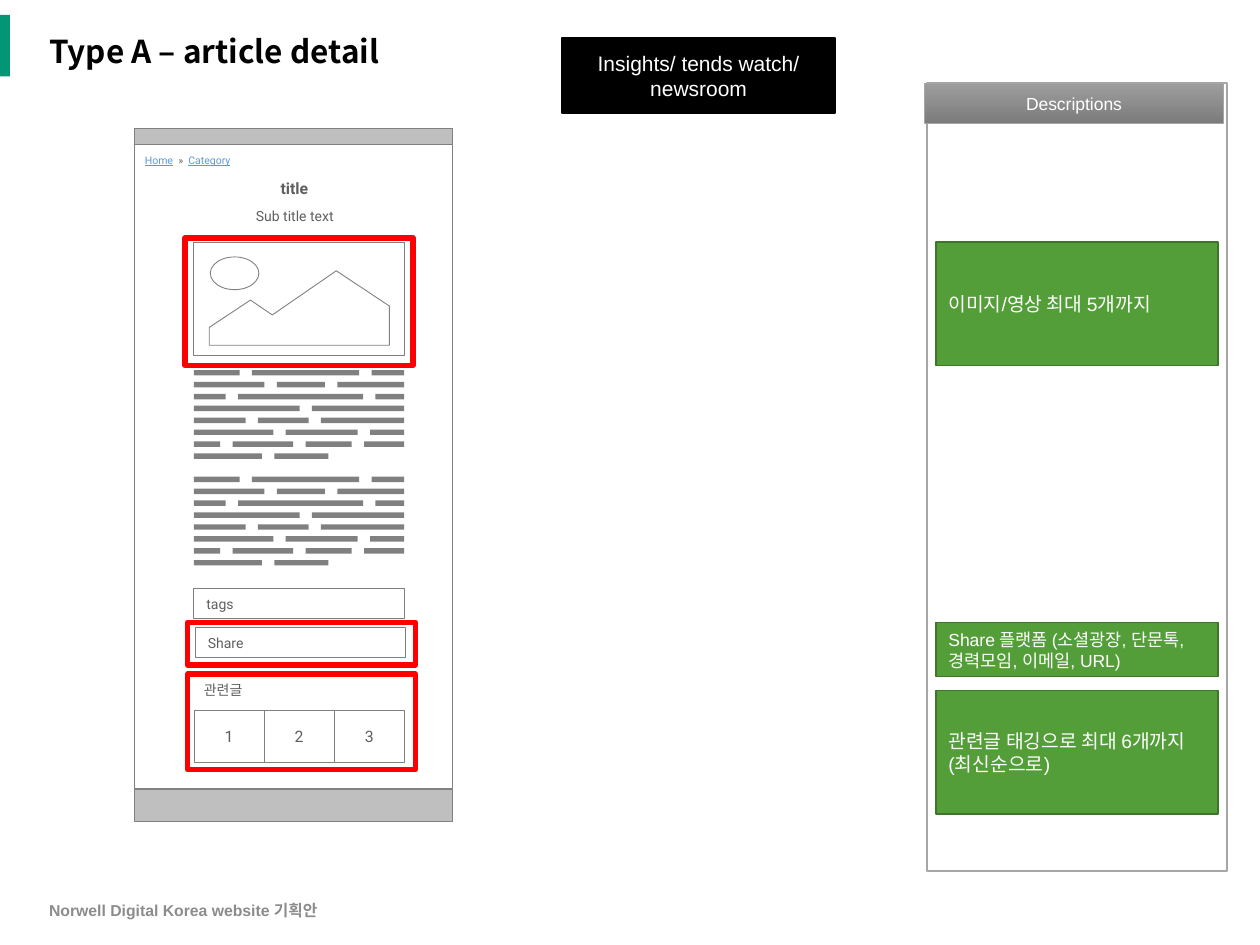
from dataclasses import dataclass
from itertools import product
from typing import Optional

from pptx import Presentation
from pptx.dml.color import RGBColor
from pptx.enum.shapes import MSO_SHAPE
from pptx.enum.text import MSO_ANCHOR, PP_ALIGN
from pptx.util import Cm, Pt


@dataclass(frozen=True)
class Theme:
    accent: str = "029676"
    white: str = "FFFFFF"
    black: str = "000000"
    wire: str = "808080"
    bar: str = "BFBFBF"
    panel_line: str = "A6A6A6"
    header_top: str = "9D9D9D"
    header_bottom: str = "7C7C7C"
    note: str = "549E39"
    note_line: str = "3E752A"
    mark: str = "FF0000"
    body: str = "5F5F5F"
    link: str = "5B9BD5"
    footer: str = "8C8C8C"
    title_font: str = "Noto Sans CJK KR"
    ui_font: str = "Arial"
    wire_font: str = "Roboto"
    title_size: float = 18
    call_size: float = 12
    note_size: float = 11
    small_note_size: float = 10
    label_size: float = 9
    text_size: float = 8
    crumb_size: float = 6


T = Theme()


@dataclass(frozen=True)
class Box:
    """Position and size in centimetres."""
    x: float
    y: float
    w: float
    h: float

    def lengths(self) -> tuple:
        return Cm(self.x), Cm(self.y), Cm(self.w), Cm(self.h)


@dataclass(frozen=True)
class Style:
    size: float
    color: str = T.body
    font: str = T.wire_font
    bold: bool = False
    align: PP_ALIGN = PP_ALIGN.LEFT
    underline: bool = False


@dataclass(frozen=True)
class Note:
    text: str
    y: float
    h: float
    size: float
    mark: Box


def style_run(r, style: Style) -> None:
    r.font.size = Pt(style.size)
    r.font.name = style.font
    r.font.bold = style.bold
    r.font.underline = style.underline
    r.font.color.rgb = RGBColor.from_string(style.color)


def write(sp, text: str, style: Style, pad: tuple = (0.25, 0.13),
          anchor: MSO_ANCHOR = MSO_ANCHOR.MIDDLE):
    tf = sp.text_frame
    tf.text = text
    tf.word_wrap = True
    tf.vertical_anchor = anchor
    tf.margin_left = tf.margin_right = Cm(pad[0])
    tf.margin_top = tf.margin_bottom = Cm(pad[1])
    p = tf.paragraphs[0]
    p.alignment = style.align
    for r in p.runs:
        style_run(r, style)
    return p


def paint(sp, fill: Optional[str], line: Optional[str], width: float) -> None:
    sp.shadow.inherit = False
    if fill:
        sp.fill.solid()
        sp.fill.fore_color.rgb = RGBColor.from_string(fill)
    else:
        sp.fill.background()
    if line:
        sp.line.color.rgb = RGBColor.from_string(line)
        sp.line.width = Pt(width)
    else:
        sp.line.fill.background()


def draw_shape(s, box: Box, fill: Optional[str] = T.white, line: Optional[str] = T.wire,
               width: float = 0.5, kind: MSO_SHAPE = MSO_SHAPE.RECTANGLE):
    sp = s.shapes.add_shape(kind, *box.lengths())
    paint(sp, fill, line, width)
    return sp


def draw_label(s, box: Box, text: str, style: Style, pad: tuple = (0.2, 0.1),
               anchor: MSO_ANCHOR = MSO_ANCHOR.TOP):
    return write(s.shapes.add_textbox(*box.lengths()), text, style, pad, anchor)


def draw_outline(s, contours: list, fill: str, line: Optional[str] = None):
    (x0, y0), *_ = contours[0]
    fb = s.shapes.build_freeform(Cm(x0), Cm(y0))
    for i, (start, *rest) in enumerate(contours):
        if i:
            fb.move_to(Cm(start[0]), Cm(start[1]))
        fb.add_line_segments([(Cm(x), Cm(y)) for x, y in rest], close=True)
    paint(fb.convert_to_shape(), fill, line, 0.5)


def draw_text_row(s, x: float, y: float, lengths: tuple) -> None:
    """One line of placeholder copy: bars of given lengths with equal gaps."""
    gap, thick = 0.25, 0.11
    bars = []
    for w in lengths:
        bars.append([(x, y), (x, y + thick), (x + w, y + thick), (x + w, y)])
        x += w + gap
    draw_outline(s, bars, T.wire)


PHONE_X, PHONE_W = 2.72, 6.4
COL_X, COL_W = 3.91, 4.24
ROW_PITCH = 0.24
COPY_TOPS = (7.46, 9.61)
COPY_ROWS = (
    (0.92, 2.16, 0.66), (1.42, 0.97, 1.35), (0.64, 2.52, 0.58), (2.13, 1.86),
    (1.04, 1.02, 1.68), (1.6, 1.45, 0.69), (0.53, 1.22, 0.93, 0.81), (1.37, 1.09),
)
NOTES = (
    Note("이미지/영상 최대 5개까지", 4.88, 2.49, T.note_size, Box(3.73, 4.8, 4.6, 2.57)),
    Note("Share 플랫폼 (소셜광장, 단문톡, 경력모임, 이메일, URL)", 12.55, 1.09,
         T.small_note_size, Box(3.78, 12.55, 4.6, 0.86)),
    Note("관련글 태깅으로 최대 6개까지 (최신순으로)", 13.92, 2.49, T.note_size,
         Box(3.78, 13.59, 4.6, 1.93)),
)


def draw_frame(s) -> None:
    # Title, accent, footer and call-out
    draw_shape(s, Box(0, 0.3, 0.2, 1.24), T.accent, None)
    title = s.shapes.title
    title.left, title.top, title.width, title.height = Box(0.74, 0.46, 24, 1.24).lengths()
    p = write(title, "Type A – article detail",
              Style(T.title_size, T.black, T.title_font, True))
    p.line_spacing = 0.9
    draw_label(s, Box(0.74, 18.03, 8.59, 0.64), "Norwell Digital Korea website 기획안",
               Style(T.label_size, T.footer, T.ui_font, True), (0.25, 0.13), MSO_ANCHOR.MIDDLE)
    sp = draw_shape(s, Box(11.33, 0.76, 5.51, 1.52), T.black, T.black, 1)
    write(sp, "Insights/ tends watch/ newsroom",
          Style(T.call_size, T.white, T.ui_font, align=PP_ALIGN.CENTER))

    # Description panel
    draw_shape(s, Box(18.69, 1.68, 6.05, 15.88), T.white, T.panel_line, 1)
    head = draw_shape(s, Box(18.64, 1.68, 6.02, 0.81), line=T.panel_line)
    head.fill.gradient()
    head.fill.gradient_angle = 270
    for stop, color in zip(head.fill.gradient_stops, (T.header_top, T.header_bottom)):
        stop.color.rgb = RGBColor.from_string(color)
    write(head, "Descriptions", Style(T.small_note_size, T.white, T.ui_font,
                                      align=PP_ALIGN.CENTER), (0.1, 0.1))


def draw_phone(s) -> None:
    # Page outline with top and bottom bars
    draw_shape(s, Box(PHONE_X, 2.92, PHONE_W, 12.98), None)
    for y, h in ((2.59, 0.33), (15.92, 0.64)):
        draw_shape(s, Box(PHONE_X, y, PHONE_W, h), T.bar)

    # Breadcrumb and headings
    p = draw_label(s, Box(PHONE_X, 3, 2.16, 0.43), "Home", Style(T.crumb_size, T.link, underline=True))
    for text, is_link in (("  »  ", False), ("Category", True)):
        r = p.add_run()
        r.text = text
        style_run(r, Style(T.crumb_size, T.link if is_link else T.body, underline=is_link))
    draw_label(s, Box(PHONE_X, 3.48, 6.43, 0.64), "title",
               Style(T.label_size, bold=True, align=PP_ALIGN.CENTER), (0.25, 0.13))
    draw_label(s, Box(2.87, 4.09, 6.15, 0.56), "Sub title text",
               Style(T.text_size, align=PP_ALIGN.CENTER))

    # Image placeholder
    draw_shape(s, Box(COL_X, 4.88, COL_W, 2.29))
    draw_outline(s, [[(4.22, 6.6), (5.05, 6.05), (5.49, 6.35), (6.78, 5.46),
                      (7.85, 6.17), (7.85, 6.96), (4.22, 6.96)]], T.white, T.wire)
    draw_shape(s, Box(4.24, 5.18, 0.98, 0.66), kind=MSO_SHAPE.OVAL)

    # Body copy
    for top, (i, lengths) in product(COPY_TOPS, enumerate(COPY_ROWS)):
        draw_text_row(s, COL_X, top + i * ROW_PITCH, lengths)

    # Tags, share and related articles
    for text, x, y in (("tags", COL_X, 11.86), ("Share", 3.94, 12.65)):
        write(draw_shape(s, Box(x, y, COL_W, 0.61)), text, Style(T.text_size))
    draw_label(s, Box(COL_X, 13.64, COL_W, 0.56), "관련글", Style(T.text_size))
    cell_w = COL_W / 3
    for i in range(3):
        sp = draw_shape(s, Box(COL_X + i * cell_w, 14.33, cell_w, 1.04))
        write(sp, str(i + 1), Style(T.label_size, align=PP_ALIGN.CENTER))


def draw_note(s, note: Note) -> None:
    draw_shape(s, note.mark, None, T.mark, 3)
    sp = draw_shape(s, Box(18.87, note.y, 5.69, note.h), T.note, T.note_line, 1)
    write(sp, note.text, Style(note.size, T.white, T.ui_font))


def main() -> None:
    prs = Presentation()
    prs.slide_width, prs.slide_height = Cm(25.4), Cm(19.05)
    s = prs.slides.add_slide(prs.slide_layouts[5])
    draw_frame(s)
    draw_phone(s)
    for note in NOTES:
        draw_note(s, note)
    prs.save("out.pptx")


if __name__ == "__main__":
    main()
